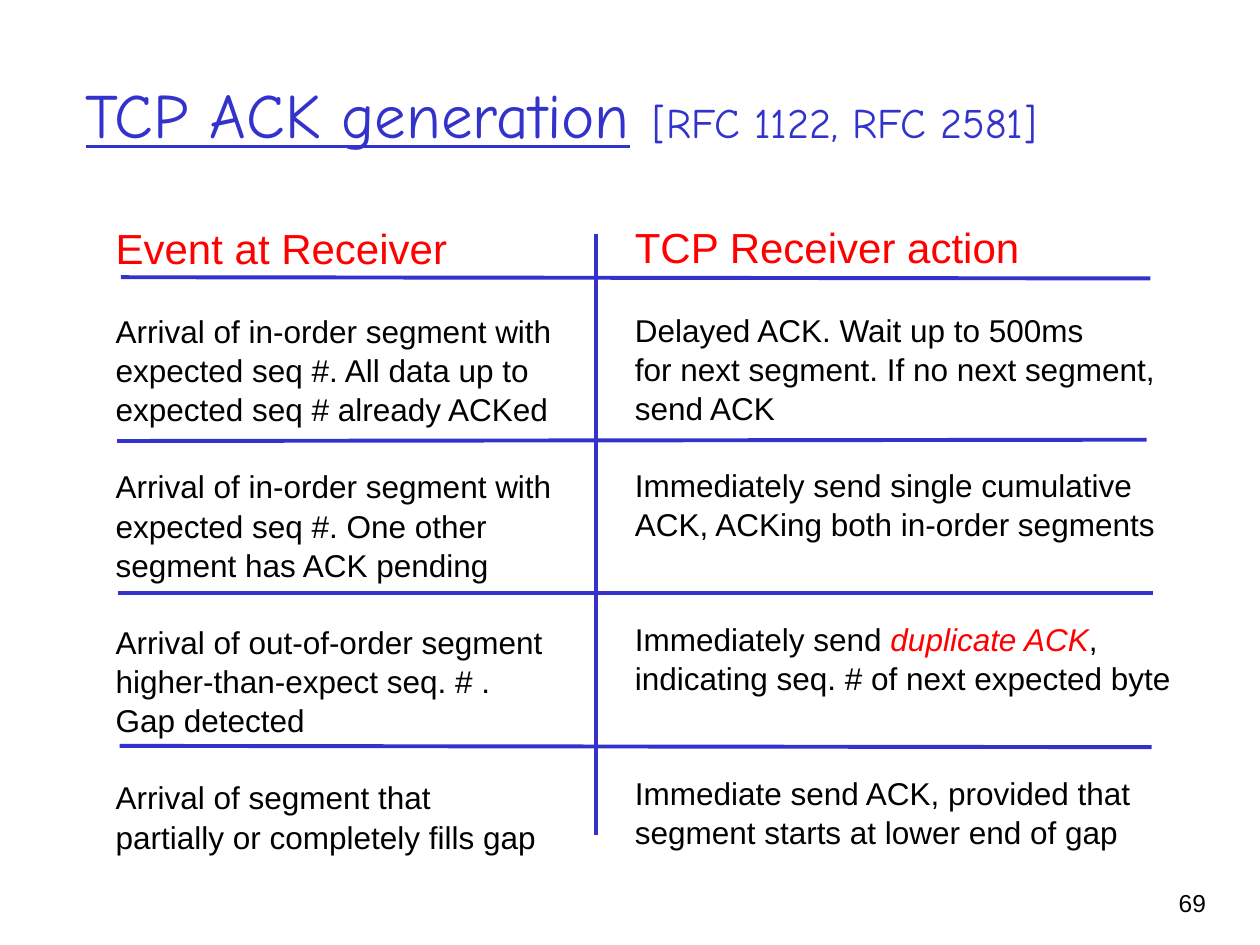
from dataclasses import dataclass

from lxml import etree
from pptx import Presentation
from pptx.dml.color import RGBColor
from pptx.enum.shapes import MSO_CONNECTOR
from pptx.enum.text import MSO_ANCHOR, PP_ALIGN
from pptx.oxml.ns import qn
from pptx.util import Inches, Pt

STRAIGHT = MSO_CONNECTOR.STRAIGHT
MIDDLE = MSO_ANCHOR.MIDDLE
LEFT, RIGHT = PP_ALIGN.LEFT, PP_ALIGN.RIGHT
TITLE_ONLY = 5


@dataclass(frozen=True)
class Theme:
    blue: RGBColor = RGBColor(0x33, 0x33, 0xCC)
    red: RGBColor = RGBColor(0xFF, 0x00, 0x00)
    black: RGBColor = RGBColor(0x00, 0x00, 0x00)
    title_font: str = "Comic Neue"
    body_font: str = "Arial"
    title_size: Pt = Pt(36)
    title_gap_size: Pt = Pt(40)
    citation_size: Pt = Pt(24)
    heading_size: Pt = Pt(24)
    body_size: Pt = Pt(18)
    number_size: Pt = Pt(14)
    rule_width: Pt = Pt(2.25)
    line_spacing: float = 1.04
    blank_line: float = 21.5


THEME = Theme()
EMPHASIS = "duplicate ACK"

EVENTS = [
    ["Arrival of in-order segment with", "expected seq #. All data up to",
     "expected seq # already ACKed"],
    ["Arrival of in-order segment with", "expected seq #. One other",
     "segment has ACK pending"],
    ["Arrival of out-of-order segment", "higher-than-expect seq. # .",
     "Gap detected"],
    ["Arrival of segment that", "partially or completely fills gap"],
]
ACTIONS = [
    ["Delayed ACK. Wait up to 500ms", "for next segment. If no next segment,",
     "send ACK"],
    ["Immediately send single cumulative", "ACK, ACKing both in-order segments"],
    ["Immediately send duplicate ACK,", "indicating seq. # of next expected byte"],
    ["Immediate send ACK, provided that", "segment starts at lower end of gap"],
]
ROW_LINES = 4
RULES = [
    (0.96, 2.2, 9.13, 2.21),
    (0.93, 3.5, 9.1, 3.49),
    (0.94, 4.71, 9.15, 4.71),
    (0.95, 5.92, 9.14, 5.93),
    (4.73, 1.86, 4.73, 6.63),
]


def set_font(font, name, size, color):
    font.name = name
    font.size = size
    font.color.rgb = color


def add_run(paragraph, text):
    run = paragraph.add_run()
    run.text = text
    return run


def add_title(slide):
    title = slide.shapes.title
    title.left, title.top = Inches(0.58), Inches(0.25)
    title.width, title.height = Inches(8.5), Inches(1.25)
    title.text_frame.vertical_anchor = MIDDLE
    paragraph = title.text_frame.paragraphs[0]
    paragraph.alignment = LEFT
    set_font(paragraph.font, THEME.title_font, THEME.title_size, THEME.blue)
    add_run(paragraph, "TCP ACK generation").font.underline = True
    add_run(paragraph, " ").font.size = THEME.title_gap_size
    add_run(paragraph, "[RFC 1122, RFC 2581]").font.size = THEME.citation_size


def add_line_text(paragraph, text):
    before, emphasis, after = text.partition(EMPHASIS)
    add_run(paragraph, before)
    if emphasis:
        run = add_run(paragraph, emphasis)
        run.font.italic = True
        run.font.color.rgb = THEME.red
        add_run(paragraph, after)


def add_column(slide, left, top, width, heading, cells):
    box = slide.shapes.add_textbox(Inches(left), Inches(top), Inches(width), Inches(5.6))
    frame = box.text_frame
    frame.word_wrap = False
    paragraph = frame.paragraphs[0]
    paragraph.line_spacing = THEME.line_spacing
    set_font(paragraph.font, THEME.body_font, THEME.heading_size, THEME.red)
    add_run(paragraph, heading)
    blank_lines = 1
    for cell in cells:
        for index, text in enumerate(cell):
            paragraph = frame.add_paragraph()
            paragraph.line_spacing = THEME.line_spacing
            if index == 0:
                paragraph.space_before = Pt(blank_lines * THEME.blank_line)
            set_font(paragraph.font, THEME.body_font, THEME.body_size, THEME.black)
            add_line_text(paragraph, text)
        blank_lines = ROW_LINES - len(cell)


def add_rule(slide, *ends):
    rule = slide.shapes.add_connector(STRAIGHT, *(Inches(value) for value in ends))
    rule.line.color.rgb = THEME.blue
    rule.line.width = THEME.rule_width
    etree.SubElement(rule._element.spPr, qn("a:effectLst"))


def add_page_number(slide, number):
    box = slide.shapes.add_textbox(Inches(8.93), Inches(7), Inches(0.74), Inches(0.5))
    box.text_frame.word_wrap = True
    paragraph = box.text_frame.paragraphs[0]
    paragraph.alignment = RIGHT
    set_font(paragraph.font, THEME.body_font, THEME.number_size, THEME.black)
    add_run(paragraph, number)


def main():
    presentation = Presentation()
    presentation.slide_width = Inches(10)
    presentation.slide_height = Inches(7.5)
    slide = presentation.slides.add_slide(presentation.slide_layouts[TITLE_ONLY])
    add_title(slide)
    add_column(slide, 0.82, 1.7, 3.66, "Event at Receiver", EVENTS)
    add_column(slide, 4.94, 1.69, 4.45, "TCP Receiver action", ACTIONS)
    for ends in RULES:
        add_rule(slide, *ends)
    add_page_number(slide, "69")
    presentation.save("out.pptx")


if __name__ == "__main__":
    main()
